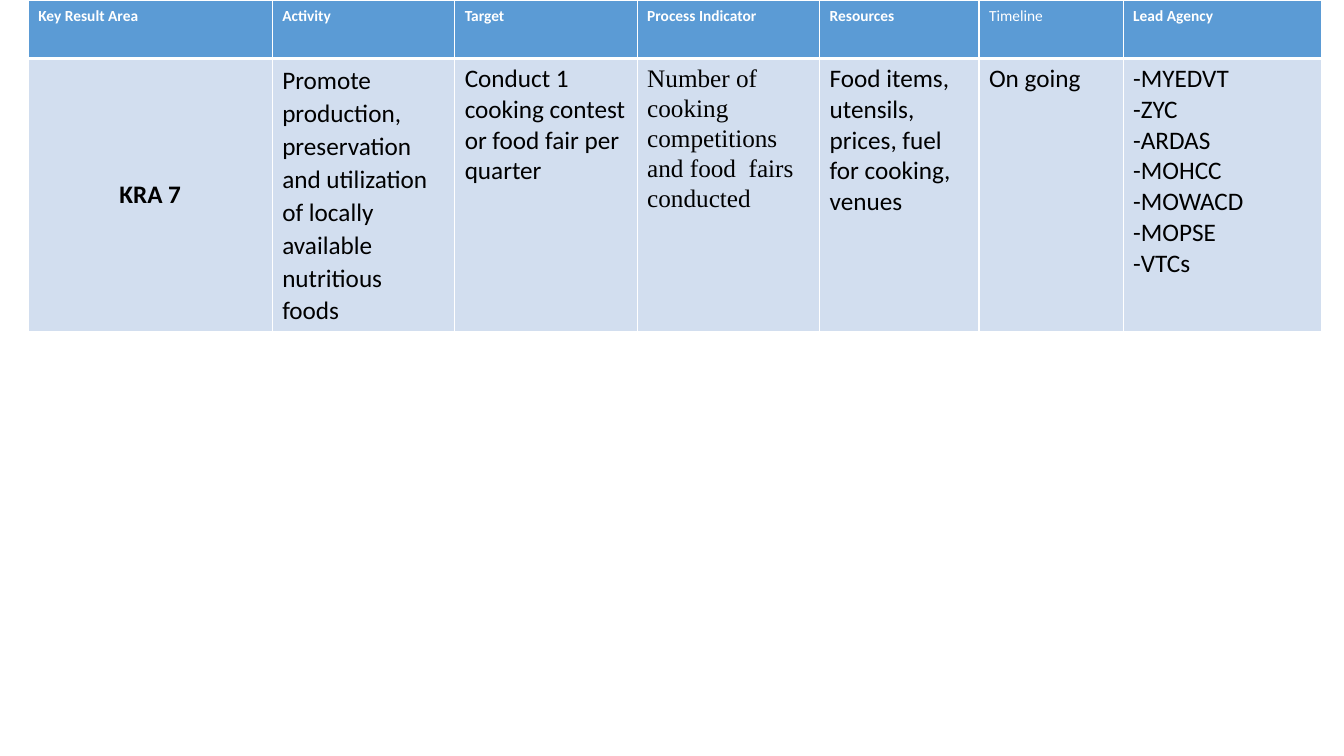
import lxml.etree
import pptx
import pptx.dml.color
import pptx.enum.text
import pptx.oxml.ns
import pptx.util

SLIDE_SIZE = (13.33, 7.5)
TABLE_LEFT, TABLE_TOP = 0.28, 0
ROW_HEIGHTS = (0.58, 2.7)
HEADER_FILL, BODY_FILL = "5B9BD5", "D2DEEF"
WHITE, BLACK = "FFFFFF", "000000"

# heading, column width, lines of the KRA 7 row
COLUMNS = [
    ("Key Result Area", 2.42, ["KRA 7"]),
    ("Activity", 1.81, ["Promote production, preservation and utilization "
                        "of locally available nutritious foods"]),
    ("Target", 1.81, ["Conduct 1 cooking contest or food fair per quarter"]),
    ("Process Indicator", 1.81, ["Number of cooking competitions and food  fairs conducted"]),
    ("Resources", 1.58, ["Food items, utensils, prices, fuel for cooking, venues"]),
    ("Timeline", 1.43, ["On going"]),
    ("Lead Agency", 1.97, ["-MYEDVT", "-ZYC", "-ARDAS", "-MOHCC", "-MOWACD", "-MOPSE", "-VTCs"]),
]
SPACED_COLUMNS = ("Activity", "Process Indicator")


def colour(value):
    return pptx.dml.color.RGBColor.from_string(value)


def draw_borders(cell, bottom_width):
    properties = cell._tc.get_or_add_tcPr()
    name = pptx.oxml.ns.qn
    for side, width in (("L", 1), ("R", 1), ("T", 1), ("B", bottom_width)):
        line = lxml.etree.SubElement(properties, name(f"a:ln{side}"), w=str(pptx.util.Pt(width)))
        fill = lxml.etree.SubElement(line, name("a:solidFill"))
        lxml.etree.SubElement(fill, name("a:srgbClr"), val=WHITE)


def fill_cell(cell, lines, fill, text_colour, size, bold, spaced, font="Calibri", bottom_width=1):
    draw_borders(cell, bottom_width)
    cell.fill.solid()
    cell.fill.fore_color.rgb = colour(fill)
    cell.text_frame.text = "\n".join(lines)
    for para in cell.text_frame.paragraphs:
        if spaced:
            para.line_spacing = 1.07
            para.space_after = pptx.util.Pt(8)
        for span in para.runs:
            span.font.name = font
            span.font.size = pptx.util.Pt(size)
            span.font.bold = bold
            span.font.color.rgb = colour(text_colour)


def main():
    deck = pptx.Presentation()
    deck.slide_width, deck.slide_height = map(pptx.util.Inches, SLIDE_SIZE)
    page = deck.slides.add_slide(deck.slide_layouts[6])

    frame = (TABLE_LEFT, TABLE_TOP, sum(width for _, width, _ in COLUMNS), sum(ROW_HEIGHTS))
    table = page.shapes.add_table(
        len(ROW_HEIGHTS), len(COLUMNS), *map(pptx.util.Inches, frame)).table
    table.first_row = table.horz_banding = False
    for row, height in zip(table.rows, ROW_HEIGHTS):
        row.height = pptx.util.Inches(height)

    for index, (heading, width, lines) in enumerate(COLUMNS):
        table.columns[index].width = pptx.util.Inches(width)
        fill_cell(table.cell(0, index), [heading], HEADER_FILL, WHITE, 11,
                  bold=heading != "Timeline", spaced=True, bottom_width=3)
        font = "Times New Roman" if heading == "Process Indicator" else "Calibri"
        fill_cell(table.cell(1, index), lines, BODY_FILL, BLACK, 18,
                  bold=index == 0, spaced=heading in SPACED_COLUMNS, font=font)

    # The upper border of the body row matches the thick rule under the headings
    for cell in table.rows[1].cells:
        cell._tc.tcPr.find(pptx.oxml.ns.qn("a:lnT")).set("w", str(pptx.util.Pt(3)))

    area = table.cell(1, 0)
    area.vertical_anchor = pptx.enum.text.MSO_ANCHOR.MIDDLE
    area.text_frame.paragraphs[0].alignment = pptx.enum.text.PP_ALIGN.CENTER

    deck.save("out.pptx")


if __name__ == "__main__":
    main()
